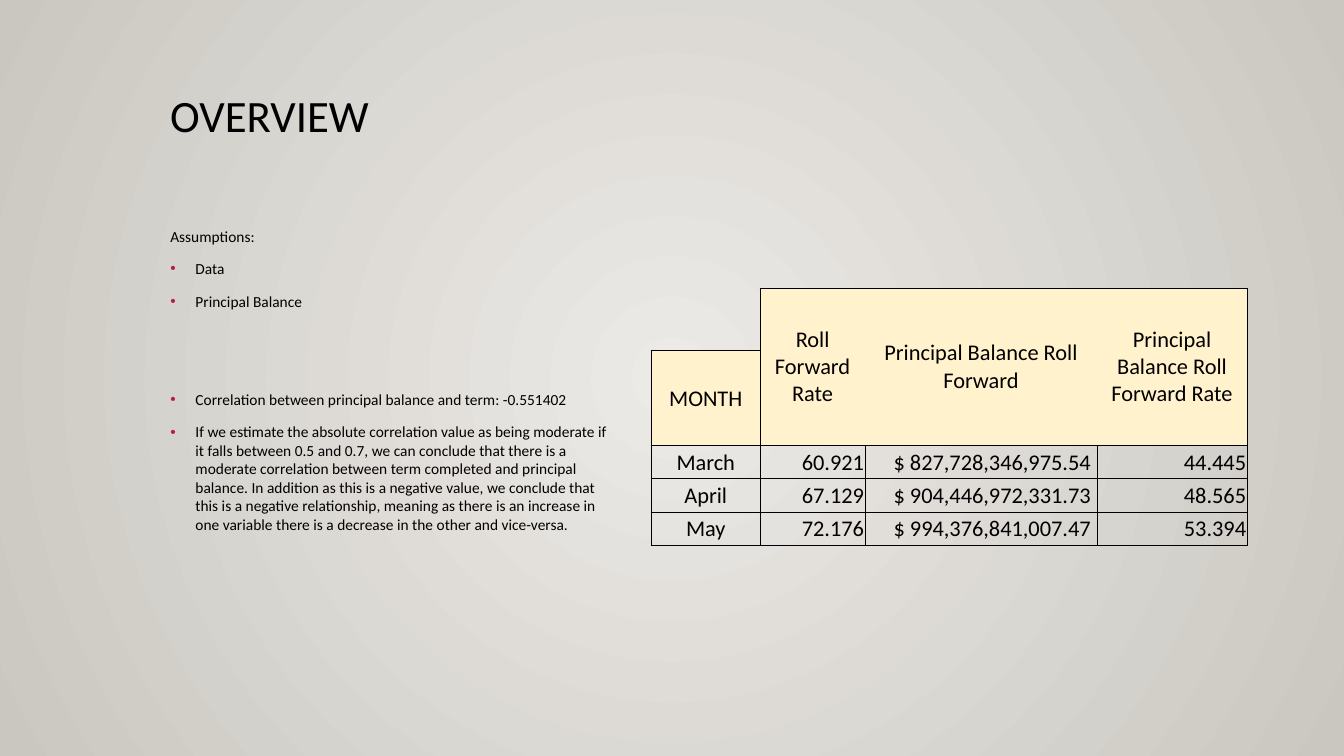
"""Build the overview slide with its assumptions and the roll forward table."""
from dataclasses import dataclass

from pptx import Presentation
from pptx import util as u
from pptx.dml.color import RGBColor
from pptx.enum import text
from pptx.oxml import parse_xml
from pptx.oxml.ns import nsdecls, qn
from pptx.oxml.xmlchemy import OxmlElement


@dataclass(frozen=True)
class Theme:
    font: str = "Calibri"
    ink: str = "000000"
    bullet: str = "B71E42"
    header: str = "FFF2CC"
    centre: str = "ECEAE7"
    edge: str = "CAC7C1"
    title_size: int = 32
    body_size: int = 11
    table_size: int = 16
    thick: float = 1
    thin: float = 0.5


THEME = Theme()
ASSUMPTIONS = [
    "Data",
    "Principal Balance",
    "Correlation between principal balance and term: -0.551402",
    "If we estimate the absolute correlation value as being moderate if it falls between "
    "0.5 and 0.7, we can conclude that there is a moderate correlation between term "
    "completed and principal balance. In addition as this is a negative value, we conclude "
    "that this is a negative relationship, meaning as there is an increase in one variable "
    "there is a decrease in the other and vice-versa.",
]
GAP_BEFORE = 2
HEADERS = ["Roll Forward Rate", "Principal Balance Roll Forward",
           "Principal Balance Roll Forward Rate"]
MONTHS = [
    ["March", "60.921", "$ 827,728,346,975.54", "44.445"],
    ["April", "67.129", "$ 904,446,972,331.73", "48.565"],
    ["May", "72.176", "$ 994,376,841,007.47", "53.394"],
]
COLUMN_WIDTHS = [1.08, 1.04, 2.3, 1.49]
ROW_HEIGHTS = [0.62, 0.94] + [0.33] * len(MONTHS)
MONEY_COLUMN = 2


def set_background(slide):
    fill = slide.background.fill
    fill.gradient()
    for stop, colour, position in zip(fill.gradient_stops, (THEME.centre, THEME.edge), (0, 1)):
        stop.color.rgb = RGBColor.from_string(colour)
        stop.position = position
    gradient = slide.element.find(".//" + qn("a:gradFill"))
    gradient.remove(gradient.find(qn("a:lin")))
    gradient.append(parse_xml(
        f'<a:path {nsdecls("a")} path="circle">'
        '<a:fillToRect l="50000" t="50000" r="50000" b="50000"/></a:path>'))


def write(paragraph, content, size, alignment=text.PP_ALIGN.LEFT):
    paragraph.text = content
    paragraph.alignment = alignment
    for run in paragraph.runs:
        run.font.name = THEME.font
        run.font.size = u.Pt(size)
        run.font.color.rgb = RGBColor.from_string(THEME.ink)


def add_text_frame(slide, left, top, width, height):
    box = slide.shapes.add_textbox(*map(u.Inches, (left, top, width, height)))
    box.text_frame.word_wrap = True
    return box.text_frame


def add_title(slide, content):
    paragraph = add_text_frame(slide, 1.59, 0.88, 10.5, 1.15).paragraphs[0]
    write(paragraph, content, THEME.title_size)
    paragraph.line_spacing = 0.9


def add_bullet(paragraph):
    properties = paragraph._p.get_or_add_pPr()
    properties.set("marL", str(u.Inches(0.25)))
    properties.set("indent", str(u.Inches(-0.25)))
    for markup in (f'<a:buClr {nsdecls("a")}><a:srgbClr val="{THEME.bullet}"/></a:buClr>',
                   f'<a:buFont {nsdecls("a")} typeface="Arial"/>',
                   f'<a:buChar {nsdecls("a")} char="•"/>'):
        properties.append(parse_xml(markup))


def add_assumptions(slide):
    frame = add_text_frame(slide, 1.59, 2.2, 4.55, 3.77)
    write(frame.paragraphs[0], "Assumptions:", THEME.body_size)
    for index, assumption in enumerate(ASSUMPTIONS):
        paragraph = frame.add_paragraph()
        write(paragraph, assumption, THEME.body_size)
        paragraph.space_before = u.Pt(57 if index == GAP_BEFORE else 10)
        add_bullet(paragraph)


def border_widths(row, column):
    """Return the left, right, top and bottom line widths of a table cell."""
    thick, thin = THEME.thick, THEME.thin
    last_column, last_row = len(COLUMN_WIDTHS) - 1, len(ROW_HEIGHTS) - 1
    if row < 2 and column:
        return (thick if column == 1 else 0, thick if column == last_column else 0, thick, thick)
    if row == 0:
        return (0, thick, 0, thick)
    if row == 1:
        return (thick,) * 4
    return (thick if column == 0 else thin, thick if column == last_column else thin,
            thick if row == 2 else thin, thick if row == last_row else thin)


def style_cell(cell, row, column):
    properties = cell._tc.get_or_add_tcPr()
    for side, width in zip("LRTB", border_widths(row, column)):
        line = OxmlElement(f"a:ln{side}")
        line.set("w", str(u.Pt(width)))
        paint = OxmlElement("a:solidFill" if width else "a:noFill")
        if width:
            colour = OxmlElement("a:srgbClr")
            colour.set("val", THEME.ink)
            paint.append(colour)
        line.append(paint)
        properties.append(line)
    if row == 1 or (row == 0 and column):
        cell.fill.solid()
        cell.fill.fore_color.rgb = RGBColor.from_string(THEME.header)
    else:
        cell.fill.background()


def fill_cell(cell, content, alignment, margins):
    cell.vertical_anchor = text.MSO_ANCHOR.MIDDLE
    cell.margin_left, cell.margin_top, cell.margin_right, cell.margin_bottom = map(
        u.Inches, margins)
    write(cell.text_frame.paragraphs[0], content, THEME.table_size, alignment)


def add_roll_forward_table(slide):
    frame = slide.shapes.add_table(
        len(ROW_HEIGHTS), len(COLUMN_WIDTHS), u.Inches(6.46), u.Inches(2.86),
        u.Inches(sum(COLUMN_WIDTHS)), u.Inches(sum(ROW_HEIGHTS)))
    table = frame.table
    table.first_row = table.horz_banding = False
    for column, width in zip(table.columns, COLUMN_WIDTHS):
        column.width = u.Inches(width)
    for row, height in zip(table.rows, ROW_HEIGHTS):
        row.height = u.Inches(height)
    for row in range(len(ROW_HEIGHTS)):
        for column in range(len(COLUMN_WIDTHS)):
            style_cell(table.cell(row, column), row, column)

    centre, right = text.PP_ALIGN.CENTER, text.PP_ALIGN.RIGHT
    tight = (0.01, 0.01, 0.01, 0)
    for column, header in enumerate(HEADERS, 1):
        table.cell(0, column).merge(table.cell(1, column))
        fill_cell(table.cell(0, column), header, centre, (0.13, 0.07, 0.13, 0.07))
    fill_cell(table.cell(1, 0), "MONTH", centre, tight)
    for row, values in enumerate(MONTHS, 2):
        for column, value in enumerate(values):
            margins = (0.01, 0.01, 0.06, 0) if column == MONEY_COLUMN else tight
            fill_cell(table.cell(row, column), value, right if column else centre, margins)


def main():
    presentation = Presentation()
    presentation.slide_width, presentation.slide_height = u.Inches(13.33), u.Inches(7.5)
    slide = presentation.slides.add_slide(presentation.slide_layouts[6])
    set_background(slide)
    add_title(slide, "OVERVIEW")
    add_assumptions(slide)
    add_roll_forward_table(slide)
    presentation.save("out.pptx")


if __name__ == "__main__":
    main()
